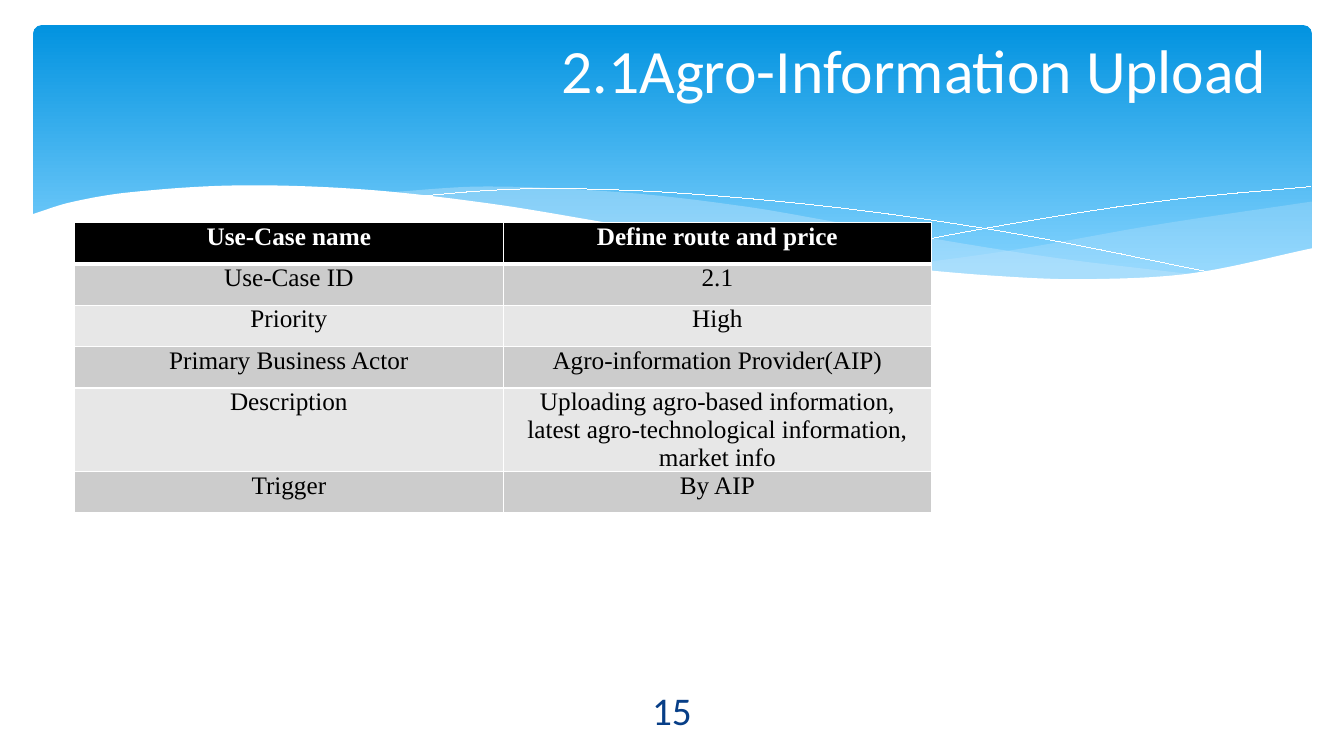
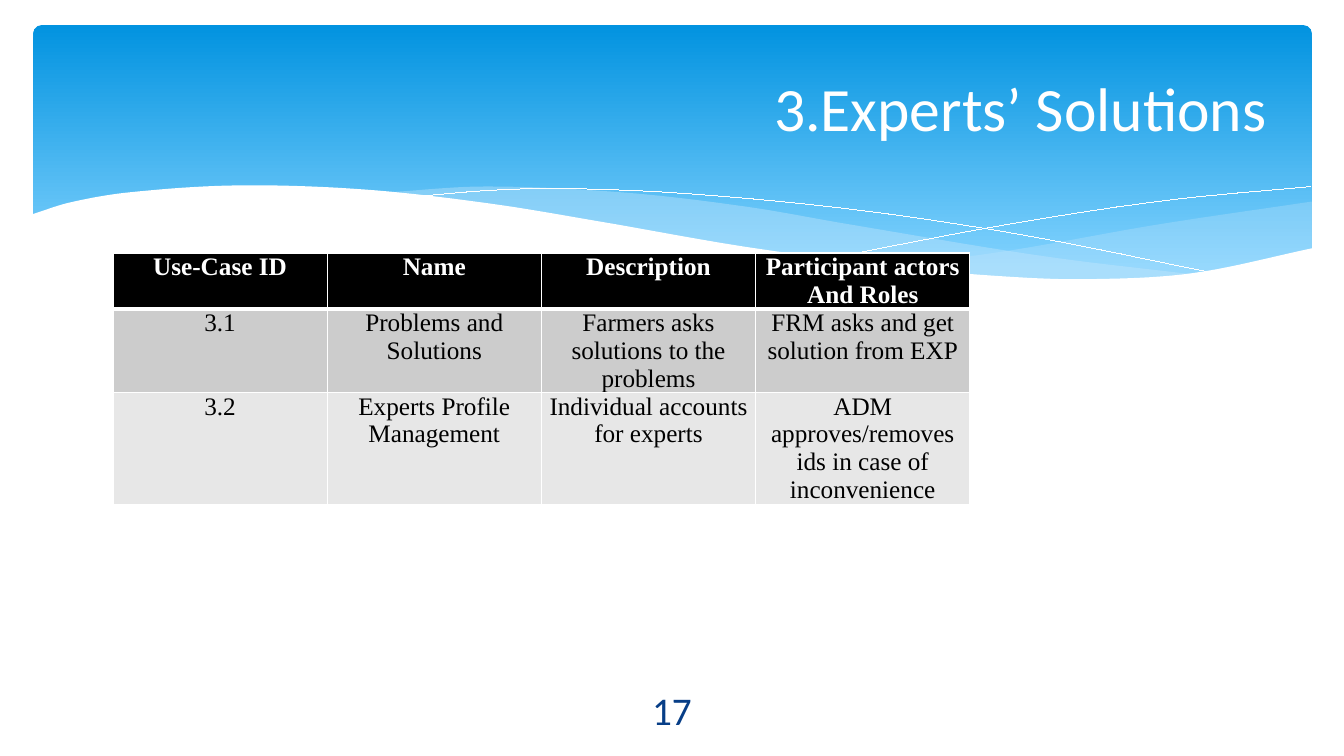
import itertools

import pptx
import pptx.dml.color
import pptx.enum.shapes
import pptx.enum.text
import pptx.oxml
import pptx.oxml.ns
import pptx.util
from pptx.util import Inches

COLOURS = {
    "white": "FFFFFF",
    "black": "000000",
    "band_top": "0293E0",
    "band_bottom": "83D3FE",
    "wave": "C6E7FC",
    "odd_row": "CCCCCC",
    "even_row": "E7E7E7",
    "number": "073E87",
}
TITLE_FONT = "Calibri"
TABLE_FONT = "Times New Roman"
TABLE_WIDTH = 8.5
ROW_HEIGHT = 0.41
CURVE_STEPS = 10

# Each curve runs from left to right through a few knots, in inches.
CURVES = {
    "right_upper": [(8.82, 2.65), (10.05, 2.48), (11.47, 2.23), (13.01, 2)],
    "right_lower": [(8.82, 2.65), (9.76, 2.74), (10.71, 2.78),
                    (11.86, 2.72), (13.01, 2.47)],
    "middle_upper": [(3.82, 1.91), (4.82, 1.85), (6.19, 1.91), (7.4, 2.05),
                     (8.39, 2.22), (10.34, 2.54), (11.9, 2.73)],
    "middle_lower": [(3.82, 1.91), (4.83, 2.03), (5.99, 2.22), (8.02, 2.55),
                     (9.63, 2.74), (10.76, 2.78), (11.9, 2.73)],
    "falling_line": [(4.12, 1.95), (4.84, 1.89), (5.55, 1.87), (6.8, 1.92),
                     (8.48, 2.08), (10.14, 2.33), (12.1, 2.72)],
    "rising_line": [(8.18, 2.57), (9.97, 2.23), (11.55, 1.99), (13, 1.85)],
    "page_upper": [(0.31, 2.13), (0.69, 2.01), (1.27, 1.91), (2.35, 1.84),
                   (3.61, 1.88), (4.86, 2.02), (5.96, 2.2), (7.4, 2.45),
                   (8.91, 2.65), (9.92, 2.74), (10.78, 2.77), (11.83, 2.71),
                   (13.03, 2.46)],
    "page_lower": [(0.31, 3.29), (13.03, 3.29)],
}

USE_CASE_ROWS = [
    ["Use-Case name", "Define route and price"],
    ["Use-Case ID", "2.1"],
    ["Priority", "High"],
    ["Primary Business Actor", "Agro-information Provider(AIP)"],
    ["Description", "Uploading agro-based information, latest "
                    "agro-technological information, market info"],
    ["Trigger", "By AIP"],
]
EXPERT_ROWS = [
    ["Use-Case ID", "Name", "Description", "Participant actors\nAnd Roles"],
    ["3.1", "Problems and Solutions", "Farmers asks solutions to the problems",
     "FRM asks and get solution from EXP"],
    ["3.2", "Experts Profile Management", "Individual accounts for experts",
     "ADM approves/removes ids in case of inconvenience"],
]


def colour(name):
    return pptx.dml.color.RGBColor.from_string(COLOURS[name])


def slope_at(knots, index):
    """Return the slope between the neighbours of a knot."""
    left_x, left_y = knots[max(index - 1, 0)]
    right_x, right_y = knots[min(index + 1, len(knots) - 1)]
    return (right_y - left_y) / (right_x - left_x)


def smooth_points(curve_name):
    """Sample a smooth cubic (Hermite) curve through the named knots."""
    knots = CURVES[curve_name]
    slopes = [slope_at(knots, index) for index in range(len(knots))]
    points = [knots[0]]
    for start, end in itertools.pairwise(zip(knots, slopes)):
        (start_x, start_y), start_slope = start
        (end_x, end_y), end_slope = end
        width = end_x - start_x
        for step in range(1, CURVE_STEPS + 1):
            t = step / CURVE_STEPS
            blend = t * t * (3 - 2 * t)
            bend = t * (1 - t) * ((1 - t) * start_slope - t * end_slope)
            y = start_y + (end_y - start_y) * blend + width * bend
            points.append((start_x + width * t, y))
    return points


def write_text(frame, text, alignment, font, size, colour_name, bold=False):
    """Fill the frame with one formatted run for each line of the text."""
    for index, line in enumerate(text.split("\n")):
        para = frame.add_paragraph() if index else frame.paragraphs[0]
        para.alignment = alignment
        span = para.add_run()
        span.text = line
        span.font.name = font
        span.font.size = pptx.util.Pt(size)
        span.font.bold = bold
        span.font.color.rgb = colour(colour_name)


def add_gradient_panel(page):
    panel = page.shapes.add_shape(
        pptx.enum.shapes.MSO_SHAPE.ROUNDED_RECTANGLE,
        Inches(0.33), Inches(0.25), Inches(12.68), Inches(2.7))
    panel.adjustments[0] = 0.03
    panel.shadow.inherit = False
    panel.line.fill.background()
    panel.fill.gradient()
    panel.fill.gradient_angle = 270
    stops = panel.fill.gradient_stops
    for stop, name, position in zip(stops, ("band_top", "band_bottom"), (0, 0.9)):
        stop.color.rgb = colour(name)
        stop.position = position
    return panel


def add_outline(page, points, closed):
    corners = [(Inches(x), Inches(y)) for x, y in points]
    builder = page.shapes.build_freeform(*corners[0])
    builder.add_line_segments(corners[1:], close=closed)
    outline = builder.convert_to_shape()
    outline.shadow.inherit = False
    return outline


def add_wave(page, name, colour_name, opacity):
    """Fill the area between two curves; opacity is in percent."""
    upper = smooth_points(f"{name}_upper")
    lower = smooth_points(f"{name}_lower")
    wave = add_outline(page, upper + lower[::-1], True)
    wave.line.fill.background()
    wave.fill.solid()
    wave.fill.fore_color.rgb = colour(colour_name)
    if opacity < 100:
        fill_colour = wave.element.spPr.find(".//" + pptx.oxml.ns.qn("a:srgbClr"))
        fill_colour.append(pptx.oxml.parse_xml(
            f'<a:alpha {pptx.oxml.ns.nsdecls("a")} val="{opacity * 1000}"/>'))
    return wave


def add_hairline(page, curve_name):
    hairline = add_outline(page, smooth_points(curve_name), False)
    hairline.fill.background()
    hairline.line.color.rgb = colour("white")
    # A width of zero would be left out of the file and drawn as the default.
    hairline.line.width = pptx.util.Emu(1)
    return hairline


def move_band_to_layout(page):
    """Draw the wavy band on the page, then hand it to the page's layout."""
    band = [
        add_gradient_panel(page),
        add_wave(page, "right", "wave", 29),
        add_wave(page, "middle", "wave", 40),
        add_hairline(page, "falling_line"),
        add_hairline(page, "rising_line"),
        add_wave(page, "page", "white", 100),
    ]
    for shape in band:
        page.slide_layout.shapes.element.append(shape.element)


def set_title(page, text, top, height):
    title = page.shapes.title
    title.left, title.top = Inches(0.67), Inches(top)
    title.width, title.height = Inches(12), Inches(height)
    frame = title.text_frame
    frame.auto_size = pptx.enum.text.MSO_AUTO_SIZE.NONE
    frame.vertical_anchor = pptx.enum.text.MSO_ANCHOR.MIDDLE
    frame.margin_top = frame.margin_bottom = 0
    write_text(frame, text, pptx.enum.text.PP_ALIGN.RIGHT, TITLE_FONT, 44, "white")


def set_borders(cell, bottom_width):
    """Add white borders; call before the fill, which must follow them."""
    properties = cell._tc.get_or_add_tcPr()
    for side, width in (("L", 1), ("R", 1), ("T", 1), ("B", bottom_width)):
        properties.append(pptx.oxml.parse_xml(
            f'<a:ln{side} {pptx.oxml.ns.nsdecls("a")} w="{pptx.util.Pt(width)}">'
            f'<a:solidFill><a:srgbClr val="{COLOURS["white"]}"/></a:solidFill>'
            f'</a:ln{side}>'))


def fill_cell(cell, text, row_index, side_margin):
    header = row_index == 0
    cell.margin_left = cell.margin_right = Inches(side_margin)
    cell.margin_top = cell.margin_bottom = 0
    set_borders(cell, 3 if header else 1)
    cell.fill.solid()
    row_colour = "odd_row" if row_index % 2 else "even_row"
    cell.fill.fore_color.rgb = colour("black" if header else row_colour)
    write_text(cell.text_frame, text, pptx.enum.text.PP_ALIGN.CENTER,
               TABLE_FONT, 18, "white" if header else "black", header)


def add_use_case_table(page, rows, left, top, side_margin):
    column_count = len(rows[0])
    table = page.shapes.add_table(
        len(rows), column_count, Inches(left), Inches(top),
        Inches(TABLE_WIDTH), Inches(ROW_HEIGHT * len(rows))).table
    for column in table.columns:
        column.width = Inches(TABLE_WIDTH / column_count)
    for row_index, texts in enumerate(rows):
        table.rows[row_index].height = Inches(ROW_HEIGHT)
        for column_index, text in enumerate(texts):
            cell = table.cell(row_index, column_index)
            fill_cell(cell, text, row_index, side_margin)


def add_page_number(page, number):
    box = page.shapes.add_textbox(Inches(5.82), Inches(6.84), Inches(1.69), Inches(0.4))
    frame = box.text_frame
    frame.word_wrap = True
    frame.vertical_anchor = pptx.enum.text.MSO_ANCHOR.MIDDLE
    write_text(frame, str(number), pptx.enum.text.PP_ALIGN.CENTER,
               TITLE_FONT, 28, "number")


def main():
    deck = pptx.Presentation()
    deck.slide_width, deck.slide_height = Inches(13.33), Inches(7.5)
    layout = deck.slide_layouts.get_by_name("Title Only")

    upload_page = deck.slides.add_slide(layout)
    move_band_to_layout(upload_page)
    set_title(upload_page, "2.1Agro-Information Upload", 0.32, 0.73)
    add_use_case_table(upload_page, USE_CASE_ROWS, 0.74, 2.21, 0.08)
    add_page_number(upload_page, 15)

    experts_page = deck.slides.add_slide(layout)
    set_title(experts_page, "3.Experts’ Solutions", 0.37, 1.37)
    add_use_case_table(experts_page, EXPERT_ROWS, 1.12, 2.51, 0.07)
    add_page_number(experts_page, 17)

    deck.save("out.pptx")


if __name__ == "__main__":
    main()
